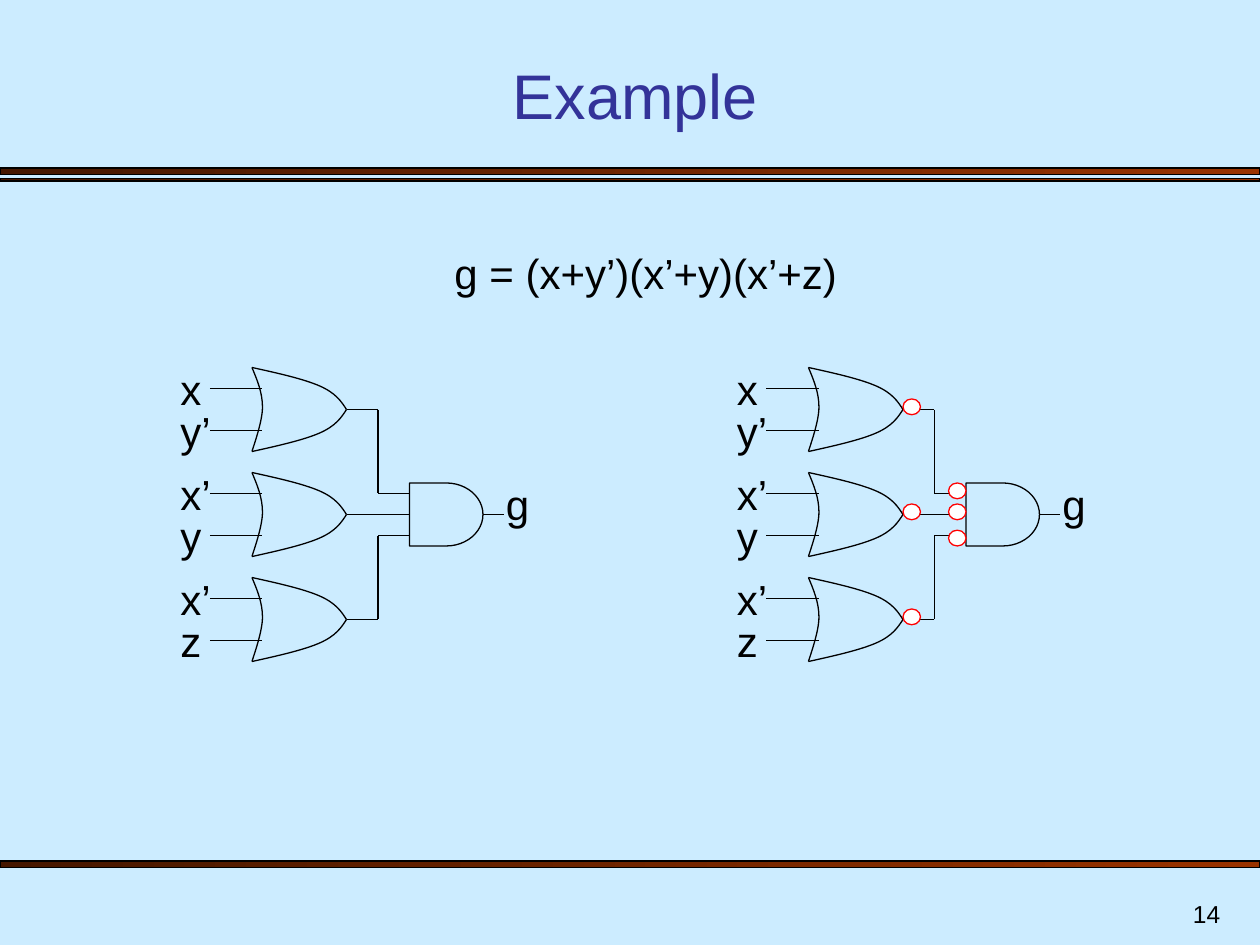
from typing import NamedTuple

from lxml.etree import SubElement
from pptx import Presentation
from pptx.dml.color import RGBColor
from pptx.enum.shapes import MSO_CONNECTOR as Connector, MSO_SHAPE as Shape
from pptx.enum.text import MSO_ANCHOR as Anchor, MSO_AUTO_SIZE as AutoSize, PP_ALIGN as Align
from pptx.oxml.ns import qn
from pptx.util import Pt

COLORS = {
    "background": "CCECFF",
    "title": "333399",
    "ink": "000000",
    "bar_light": "993300",
    "bar_dark": "461700",
    "bubble": "FFFFFF",
    "bubble_line": "FF0000",
}
FONT = "Arial"
GATE_HEIGHT = 48
GATE_TIP = 54


class Point(NamedTuple):
    x: float
    y: float


class Box(NamedTuple):
    left: float
    top: float
    width: float
    height: float

    def lengths(self) -> list:
        return [Pt(value) for value in self]


class OrGate(NamedTuple):
    inputs: tuple[str, str]
    top: float
    and_input: float  # height at which the wire enters the AND gate
    and_bubble: float  # top of the bubble on that wire


BARS = [Box(0, 96, 720, 3.6), Box(0, 102, 720, 1.5), Box(0, 492, 720, 3.6)]
OR_GATES = [
    OrGate(("x", "y’"), 210, 282, 276),
    OrGate(("x’", "y"), 270, 294, 288),
    OrGate(("x’", "z"), 330, 306, 303),
]
# Each curve is a start point followed by two cubic Bézier segments.
BACK = [Point(0, 0), Point(3, 7.2), Point(6, 14.4), Point(6, 22.6),
        Point(6, 30.6), Point(1.5, 43.2), Point(0, GATE_HEIGHT)]
UPPER = [Point(0, 0), Point(15, 3.3), Point(29.6, 6.6), Point(38.8, 10.6),
         Point(47.8, 14.6), Point(51, 19.3), Point(GATE_TIP, GATE_HEIGHT / 2)]
LOWER = [Point(x, GATE_HEIGHT - y) for x, y in UPPER]


def color(name: str) -> RGBColor:
    return RGBColor.from_string(COLORS[name])


def set_line(shape, name: str = "ink") -> None:
    shape.line.color.rgb = color(name)
    shape.line.width = Pt(0.75)


def style_text(frame, size: float, align: Align, name: str = "ink") -> None:
    paragraph = frame.paragraphs[0]
    paragraph.alignment = align
    paragraph.font.name = FONT
    paragraph.font.size = Pt(size)
    paragraph.font.color.rgb = color(name)


def add_text(shapes, box: Box, text: str, size: float = 24, align: Align = Align.LEFT):
    frame = shapes.add_textbox(*box.lengths()).text_frame
    frame.word_wrap = True
    frame.auto_size = AutoSize.SHAPE_TO_FIT_TEXT
    frame.text = text
    style_text(frame, size, align)
    return frame


def add_bar(shapes, box: Box) -> None:
    bar = shapes.add_shape(Shape.RECTANGLE, *box.lengths())
    bar.shadow.inherit = False
    bar.fill.gradient()
    bar.fill.gradient_angle = 180
    for stop, name in zip(bar.fill.gradient_stops, ("bar_light", "bar_dark")):
        stop.color.rgb = color(name)
    set_line(bar)


def add_wire(shapes, *points: Point) -> None:
    """Join the points with straight lines."""
    for start, end in zip(points, points[1:]):
        wire = shapes.add_connector(
            Connector.STRAIGHT, Pt(start.x), Pt(start.y), Pt(end.x), Pt(end.y))
        set_line(wire)
        SubElement(wire._element.spPr, qn("a:effectLst"))


def add_curve(shapes, origin: Point, points: list[Point]) -> None:
    """Draw an open outline whose points are taken three by three as Béziers."""
    start, *others = [(Pt(origin.x + x), Pt(origin.y + y)) for x, y in points]
    builder = shapes.build_freeform(*start)
    builder.add_line_segments(others, close=False)
    curve = builder.convert_to_shape()
    outline = next(curve._element.iter(qn("a:path")))
    lines = outline.findall(qn("a:lnTo"))
    for first in range(0, len(lines), 3):
        bezier = SubElement(outline, qn("a:cubicBezTo"))
        for line in lines[first:first + 3]:
            bezier.append(line[0])
            outline.remove(line)
    curve.fill.background()
    curve.shadow.inherit = False
    set_line(curve)


def add_bubble(shapes, left: float, top: float) -> None:
    bubble = shapes.add_shape(Shape.OVAL, *Box(left, top, 10, 9).lengths())
    bubble.shadow.inherit = False
    bubble.fill.solid()
    bubble.fill.fore_color.rgb = color("bubble")
    set_line(bubble, "bubble_line")


def add_or_gate(shapes, left: float, gate: OrGate) -> None:
    """Draw the gate with its two labelled inputs and its wire to the AND gate."""
    for curve in (BACK, UPPER, LOWER):
        add_curve(shapes, Point(left, gate.top), curve)
    for index, label in enumerate(gate.inputs):
        y = gate.top + 12 + 24 * index
        add_wire(shapes, Point(left - 24, y), Point(left + 6, y))
        add_text(shapes, Box(left - 48, y - 18, 36, 36), label)
    tip = Point(left + GATE_TIP, gate.top + GATE_HEIGHT / 2)
    entry = Point(left + 90, gate.and_input)
    if tip.y == entry.y:
        add_wire(shapes, tip, entry)
    else:
        bend = left + 72
        add_wire(shapes, tip, Point(bend, tip.y), Point(bend, entry.y), entry)


def add_circuit(slide, left: float, inverted: bool) -> None:
    """Draw OR gates feeding an AND gate, with inversion bubbles if inverted."""
    shapes = slide.shapes.add_group_shape().shapes
    for gate in OR_GATES:
        add_or_gate(shapes, left, gate)
    and_gate = shapes.add_shape(
        Shape.FLOWCHART_DELAY, *Box(left + 90, 276, 42, 36).lengths())
    and_gate.shadow.inherit = False
    and_gate.fill.background()
    set_line(and_gate)
    add_wire(shapes, Point(left + 132, 294), Point(left + 144, 294))
    add_text(shapes, Box(left + 138, 270, 30, 36), "g")
    if inverted:
        for gate in OR_GATES:
            add_bubble(shapes, left + GATE_TIP, gate.top + 18)
            add_bubble(shapes, left + 80, gate.and_bubble)


def add_title(slide, box: Box, text: str) -> None:
    title = slide.shapes.title
    title.left, title.top, title.width, title.height = box.lengths()
    frame = title.text_frame
    frame.text = text
    frame.vertical_anchor = Anchor.BOTTOM
    style_text(frame, 36, Align.CENTER, "title")


def main() -> None:
    presentation = Presentation()
    presentation.slide_width, presentation.slide_height = Pt(720), Pt(540)
    slide = presentation.slides.add_slide(presentation.slide_layouts[5])
    slide.background.fill.solid()
    slide.background.fill.fore_color.rgb = color("background")

    for bar in BARS:
        add_bar(slide.shapes, bar)
    add_title(slide, Box(42, 30, 642, 49), "Example")
    add_text(slide.shapes, Box(198, 138, 342, 36), "g = (x+y’)(x’+y)(x’+z)", align=Align.CENTER)
    add_circuit(slide, 144, inverted=False)
    add_circuit(slide, 462, inverted=True)
    number = add_text(slide.shapes, Box(554.4, 504, 150, 30), "14", 14, Align.RIGHT)
    number.auto_size = AutoSize.NONE
    number.vertical_anchor = Anchor.BOTTOM
    presentation.save("out.pptx")


if __name__ == "__main__":
    main()
